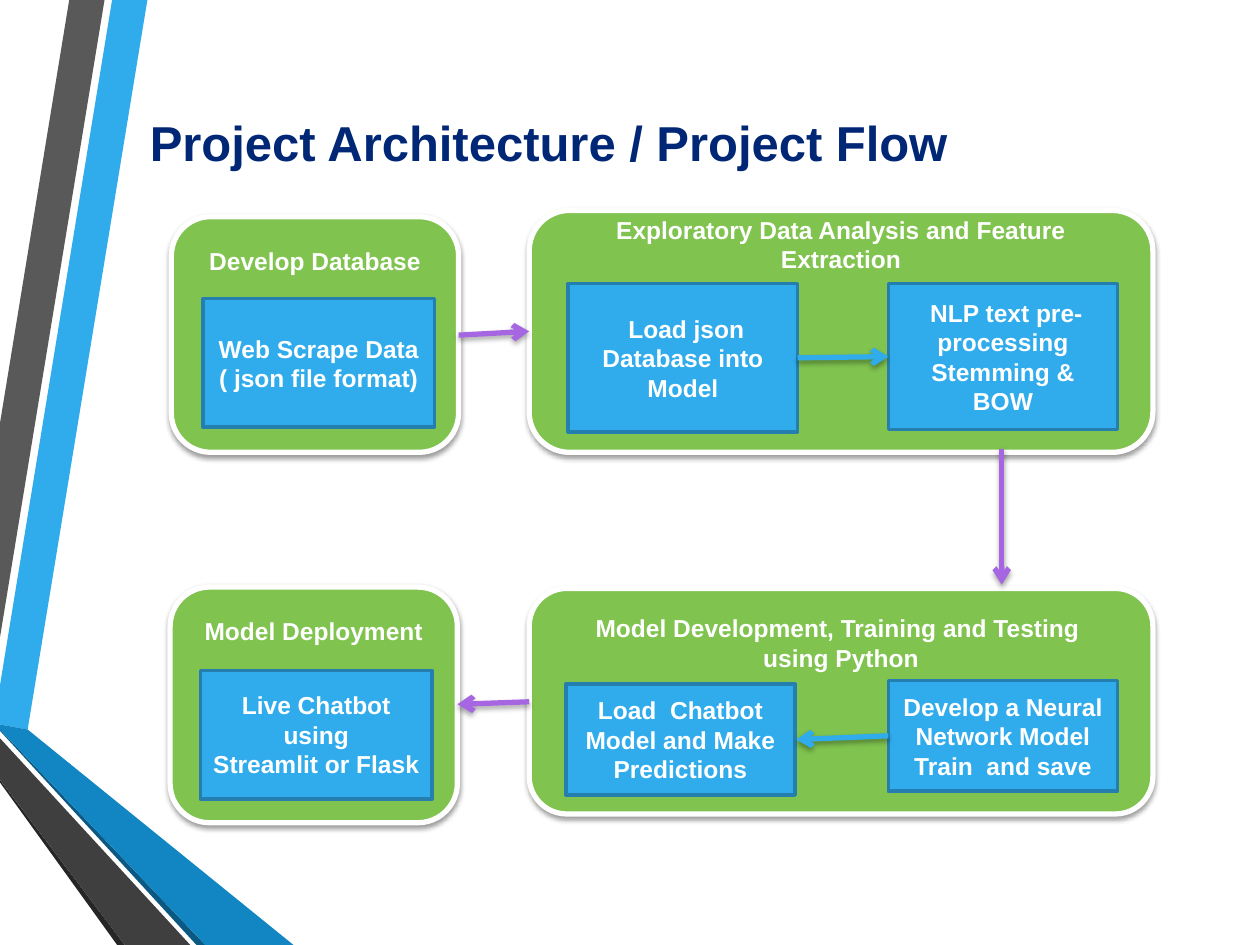
from lxml import etree
from pptx import Presentation
from pptx.dml.color import RGBColor
from pptx.enum.shapes import MSO_CONNECTOR, MSO_SHAPE
from pptx.enum.text import MSO_ANCHOR, PP_ALIGN
from pptx.oxml.ns import qn
from pptx.util import Inches, Pt

COLUMNS, ROWS = 100, 75
SLIDE_WIDTH, SLIDE_HEIGHT = Inches(10), Inches(7.5)

WHITE = RGBColor(0xFF, 0xFF, 0xFF)
NAVY = RGBColor(0x00, 0x27, 0x76)
GREEN = RGBColor(0x80, 0xC3, 0x4F)
BLUE = RGBColor(0x30, 0xAC, 0xEC)
BLUE_EDGE = RGBColor(0x24, 0x7F, 0xAF)
BLUE_SHADE = RGBColor(0x11, 0x86, 0xC3)
BLUE_DEEP = RGBColor(0x0B, 0x59, 0x82)
PURPLE = RGBColor(0xA6, 0x66, 0xE1)
GRAY = RGBColor(0x59, 0x59, 0x59)
GRAY_SHADE = RGBColor(0x3F, 0x3F, 0x3F)
GRAY_DEEP = RGBColor(0x26, 0x26, 0x26)

RECTANGLE = MSO_SHAPE.RECTANGLE
ROUNDED = MSO_SHAPE.ROUNDED_RECTANGLE
STRAIGHT = MSO_CONNECTOR.STRAIGHT
CENTER, LEFT = PP_ALIGN.CENTER, PP_ALIGN.LEFT
MIDDLE = MSO_ANCHOR.MIDDLE

RIBBONS = [
    (BLUE, [(0, 54.4), (0, 57.5), (2.2, 57.9), (11.7, 0), (8.9, 0)]),
    (GRAY, [(8.3, 0), (5.5, 0), (0, 33.6), (0, 50.6)]),
    (GRAY_DEEP, [(0, 61.9), (0, 62.1), (9.3, 75), (9.9, 75)]),
    (BLUE_DEEP, [(0, 57.9), (0, 58), (15.6, 75), (16.3, 75)]),
    (BLUE_SHADE, [(0, 57.9), (16.3, 75), (23.3, 75), (2.2, 57.9), (0, 57.5)]),
    (GRAY_SHADE, [(0, 61.9), (9.9, 75), (15.1, 75), (0, 58.6)]),
]

# Label, (left, top, width, height), distance from panel top to label centre
PANELS = [
    ("Exploratory Data Analysis and Feature Extraction", (42, 16.7, 49.5, 19.2), 2.7),
    ("Develop Database", (13.6, 17.2, 22.8, 18.7), 3.5),
    ("Model Development, Training and Testing \nusing Python", (42, 46.7, 49.5, 17.9), 4.3),
    ("Model Deployment", (13.5, 46.6, 22.8, 18.7), 3.5),
]

STEPS = [
    ("Web Scrape Data\n( json file format)", (16.1, 23.7, 18.4, 10.2)),
    (" Load json Database into Model", (45.1, 22.5, 18.2, 11.8)),
    (" NLP text pre-processing Stemming & BOW", (70.5, 22.5, 18.2, 11.6)),
    ("Load  Chatbot Model and Make Predictions", (44.9, 54.3, 18.2, 8.8)),
    ("Develop a Neural Network Model\nTrain  and save", (70.5, 54, 18.2, 8.8)),
    ("Live Chatbot using\nStreamlit or Flask", (15.9, 53.2, 18.4, 10.2)),
]

ARROWS = [
    (PURPLE, (36.4, 26.6), (42, 26.3)),
    (BLUE, (63.3, 28.4), (70.5, 28.3)),
    (PURPLE, (79.5, 35.6), (79.5, 46.4)),
    (BLUE, (70.5, 58.4), (63.2, 58.7)),
    (PURPLE, (42, 55.7), (36.3, 55.9)),
]


class FlowSlide:
    """Draws on one slide; all lengths are columns and rows of the grid."""

    font_name = "Arial"
    label_size = Pt(14)
    title_size = Pt(28)

    def __init__(self, presentation):
        self.slide = presentation.slides.add_slide(presentation.slide_layouts[6])
        self.shapes = self.slide.shapes

    def place(self, *lengths):
        """Turn alternating column and row lengths into slide units."""
        units = (SLIDE_WIDTH / COLUMNS, SLIDE_HEIGHT / ROWS)
        return [round(length * units[i % 2]) for i, length in enumerate(lengths)]

    def set_text(self, shape, text, size, color, alignment):
        frame = shape.text_frame
        frame.text = text
        frame.word_wrap = True
        for paragraph in frame.paragraphs:
            paragraph.alignment = alignment
            for run in paragraph.runs:
                run.font.name = self.font_name
                run.font.size = size
                run.font.bold = True
                run.font.color.rgb = color
        return frame

    def add_shadow(self, properties, alpha, distance):
        effects = properties.find(qn("a:effectLst"))
        if effects is None:
            effects = etree.SubElement(properties, qn("a:effectLst"))
        shadow = etree.SubElement(
            effects, qn("a:outerShdw"), blurRad=str(Pt(3.1)),
            dist=str(Pt(distance)), dir="5400000", rotWithShape="0")
        color = etree.SubElement(shadow, qn("a:srgbClr"), val="000000")
        etree.SubElement(color, qn("a:alpha"), val=str(alpha * 1000))

    def ribbon(self, color, points):
        start, *others = [self.place(*point) for point in points]
        builder = self.shapes.build_freeform(*start)
        builder.add_line_segments(others, close=True)
        shape = builder.convert_to_shape()
        shape.shadow.inherit = False
        shape.fill.solid()
        shape.fill.fore_color.rgb = color
        shape.line.fill.background()

    def title(self, text, box):
        shape = self.shapes.add_textbox(*self.place(*box))
        self.set_text(shape, text, self.title_size, NAVY, LEFT)

    def box(self, kind, text, box, fill, edge, edge_width):
        shape = self.shapes.add_shape(kind, *self.place(*box))
        shape.shadow.inherit = False
        shape.fill.solid()
        shape.fill.fore_color.rgb = fill
        shape.line.color.rgb = edge
        shape.line.width = Pt(edge_width)
        frame = self.set_text(shape, text, self.label_size, WHITE, CENTER)
        frame.vertical_anchor = MIDDLE
        return shape

    def panel(self, text, box, label_center):
        """Rounded box; the bottom margin lifts its label to label_center."""
        shape = self.box(ROUNDED, text, box, GREEN, WHITE, 3)
        self.add_shadow(shape.element.spPr, 38, 1.6)
        shape.text_frame.margin_top = 0
        shape.text_frame.margin_bottom = shape.height - 2 * self.place(0, label_center)[1]

    def step(self, text, box):
        self.box(RECTANGLE, text, box, BLUE, BLUE_EDGE, 2)

    def arrow(self, color, start, end):
        connector = self.shapes.add_connector(STRAIGHT, *self.place(*start, *end))
        connector.line.color.rgb = color
        connector.line.width = Pt(3)
        properties = connector.element.spPr
        etree.SubElement(properties.find(qn("a:ln")), qn("a:tailEnd"), type="arrow")
        self.add_shadow(properties, 35, 1.8)


def main():
    presentation = Presentation()
    presentation.slide_width = SLIDE_WIDTH
    presentation.slide_height = SLIDE_HEIGHT
    flow = FlowSlide(presentation)
    for ribbon in RIBBONS:
        flow.ribbon(*ribbon)
    flow.title("Project Architecture / Project Flow", (10.9, 8.4, 80.5, 5.7))
    for panel in PANELS:
        flow.panel(*panel)
    for step in STEPS:
        flow.step(*step)
    for arrow in ARROWS:
        flow.arrow(*arrow)
    presentation.save("out.pptx")


if __name__ == "__main__":
    main()
